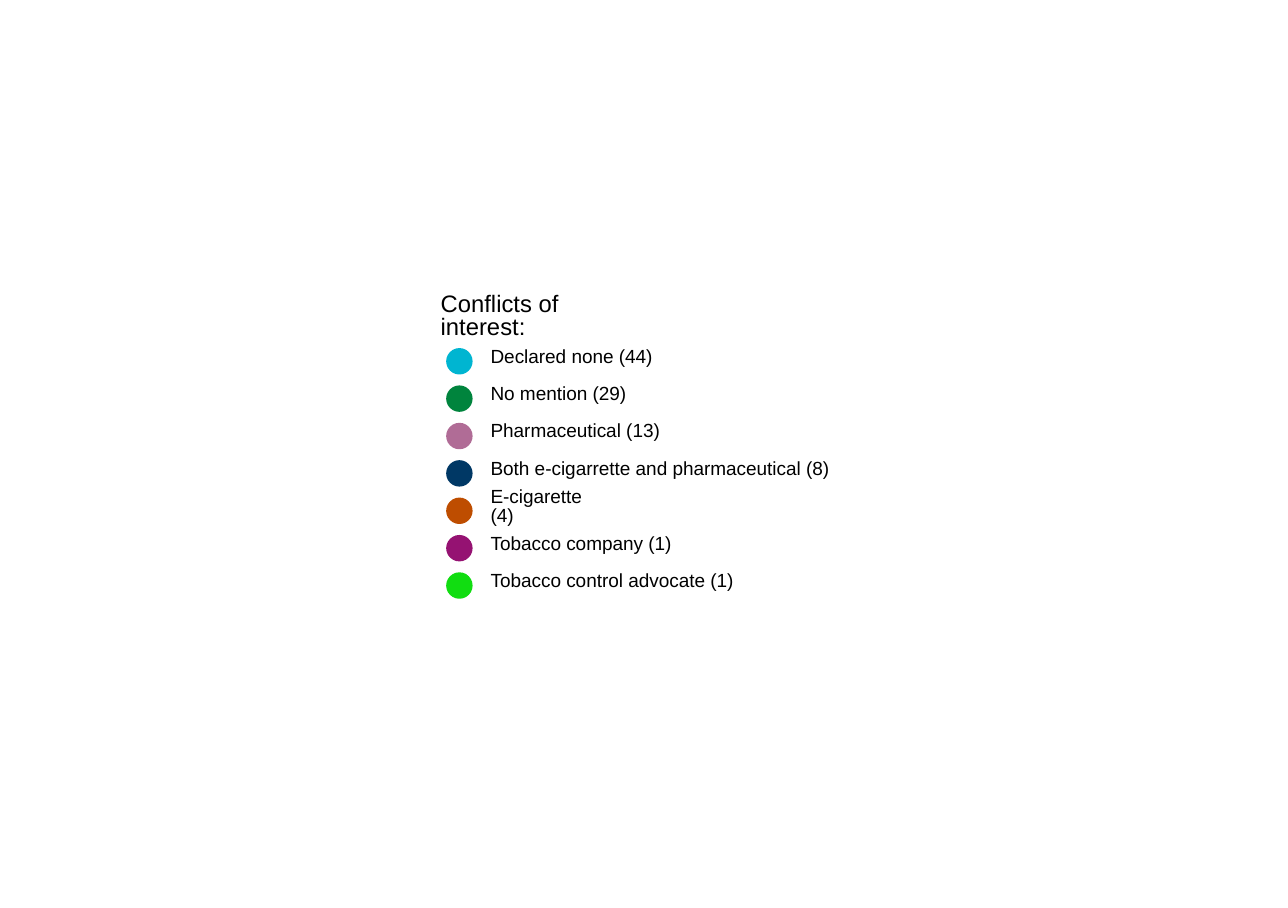
"""Draw the legend of conflicts of interest with a count for each group."""
from typing import NamedTuple

from pptx import Presentation
from pptx import util as u
from pptx.dml import color
from pptx.enum import shapes, text

FONT = "Arial"
TOP, STEP = 2.24, 0.24
DOT_X, DOT = 2.87, 0.16
TEXT_X, TEXT_H = 3.15, 0.11


class Entry(NamedTuple):
    label: str
    width: float
    hue: str


ENTRIES = [
    Entry("Declared none (44)", 1.05, "00B5D1"),
    Entry("No mention (29)", 0.88, "00843D"),
    Entry("Pharmaceutical (13)", 1.09, "B06C96"),
    Entry("Both e-cigarrette and pharmaceutical (8)", 2.19, "003865"),
    Entry("E-cigarette (4)", 0.77, "BE4D00"),
    Entry("Tobacco company (1)", 1.18, "951272"),
    Entry("Tobacco control advocate (1)", 1.58, "11DD11"),
]


def paint(form, hue: str) -> None:
    form.solid()
    form.fore_color.rgb = color.RGBColor.from_string(hue)


def add_form(group, kind, x: float, y: float, w: float, h: float,
             hue: str, line: float) -> None:
    form = group.shapes.add_shape(
        kind, u.Inches(x), u.Inches(y), u.Inches(w), u.Inches(h))
    form.shadow.inherit = False
    paint(form.fill, hue)
    paint(form.line.fill, hue)
    form.line.width = u.Pt(line)


def add_label(group, words: str, x: float, y: float, w: float,
              size: float) -> None:
    box = group.shapes.add_textbox(
        u.Inches(x), u.Inches(y), u.Inches(w), u.Inches(TEXT_H))
    frame = box.text_frame
    frame.word_wrap = False
    frame.vertical_anchor = text.MSO_ANCHOR.MIDDLE
    frame.margin_left = frame.margin_right = 0
    frame.margin_top = frame.margin_bottom = 0
    para = frame.paragraphs[0]
    para.line_spacing = u.Pt(size)
    run = para.add_run()
    run.text = words
    run.font.name = FONT
    run.font.size = u.Pt(size)
    paint(run.font.fill, "000000")


def main() -> None:
    deck = Presentation()
    deck.slide_width, deck.slide_height = u.Inches(8.27), u.Inches(5.83)
    slide = deck.slides.add_slide(deck.slide_layouts[6])
    legend = slide.shapes.add_group_shape()
    kinds = shapes.MSO_SHAPE
    add_form(legend, kinds.RECTANGLE, 1.61, 1.5, 5.05, 2.82, "FFFFFF", 0.75)
    add_label(legend, "Conflicts of interest:", 2.83, 1.98, 1.34, 11)
    for row, entry in enumerate(ENTRIES):
        y = TOP + row * STEP
        add_form(legend, kinds.OVAL, DOT_X, y, DOT, DOT, entry.hue, 0.71)
        add_label(legend, entry.label, TEXT_X, y, entry.width, 8.8)
    deck.save("out.pptx")


if __name__ == "__main__":
    main()
